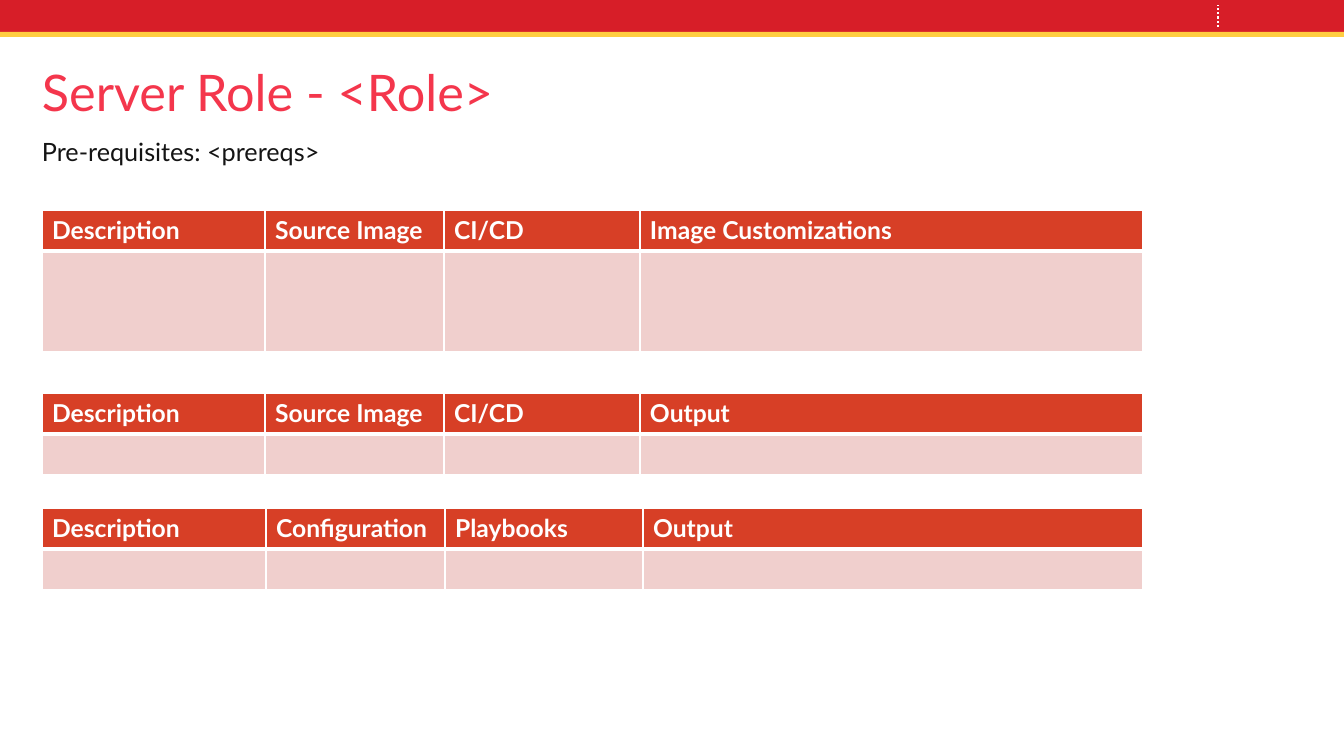
"""Builds the server role slide with its three template tables."""
from lxml import etree
from pptx import Presentation
from pptx.dml.color import RGBColor
from pptx.enum.dml import MSO_LINE
from pptx.enum.shapes import MSO_CONNECTOR, MSO_SHAPE
from pptx.enum.text import MSO_ANCHOR, MSO_AUTO_SIZE, PP_ALIGN
from pptx.oxml.ns import qn
from pptx.util import Pt

RECTANGLE = MSO_SHAPE.RECTANGLE
STRAIGHT = MSO_CONNECTOR.STRAIGHT
DOTTED = MSO_LINE.ROUND_DOT
TOP = MSO_ANCHOR.TOP
LEFT = PP_ALIGN.LEFT
NO_AUTOFIT = MSO_AUTO_SIZE.NONE

FONT = "Lato"
COLORS = {
    "banner": "D71E28", "stripe": "FFCD41", "title": "F4364C", "ink": "141414",
    "white": "FFFFFF", "header": "D73F26", "body": "F0CFCD",
}
TITLE = "Server Role - <Role>"
PREREQUISITES = "Pre-requisites: <prereqs>"
BANDS = [("banner", 0, 32), ("stripe", 32, 5)]
TABLES = [
    {"top": 210, "body": 101, "columns": [
        ("Description", 223), ("Source Image", 179), ("CI/CD", 196), ("Image Customizations", 503)]},
    {"top": 393, "body": 41, "columns": [
        ("Description", 223), ("Source Image", 179), ("CI/CD", 196), ("Output", 503)]},
    {"top": 508, "body": 41, "columns": [
        ("Description", 224), ("Configuration", 179), ("Playbooks", 198), ("Output", 500)]},
]
WIDTH, HEIGHT = 1344, 756
MARGIN = 42
HEADER_HEIGHT = 41
DIVIDER_X = 1218
THIN, THICK = 1, 3
EMU_PER_PX = 914400 / 100.8


def px(*lengths):
    return [round(length * EMU_PER_PX) for length in lengths]


def color(name):
    return RGBColor.from_string(COLORS[name])


def write(frame, text, size, ink, bold=False, inset=None):
    frame.word_wrap = True
    frame.vertical_anchor = TOP
    if inset is not None:
        frame.auto_size = NO_AUTOFIT
        frame.margin_left = frame.margin_right = inset
        frame.margin_top = frame.margin_bottom = inset
    paragraph = frame.paragraphs[0]
    paragraph.alignment = LEFT
    run = paragraph.add_run()
    run.text = text
    run.font.name = FONT
    run.font.size = Pt(size)
    run.font.bold = bold
    run.font.color.rgb = color(ink)


def style_cell(cell, fill, above, below):
    properties = cell._tc.get_or_add_tcPr()
    for edge, width in (("lnL", THIN), ("lnR", THIN), ("lnT", above), ("lnB", below)):
        border = etree.SubElement(properties, qn(f"a:{edge}"), w=str(Pt(width)))
        solid = etree.SubElement(border, qn("a:solidFill"))
        etree.SubElement(solid, qn("a:srgbClr"), val=COLORS["white"])
    cell.fill.solid()
    cell.fill.fore_color.rgb = color(fill)


def add_role_table(slide, top, body, columns):
    width = sum(column_width for _, column_width in columns)
    table = slide.shapes.add_table(
        2, len(columns), *px(MARGIN, top, width, HEADER_HEIGHT + body)).table
    table.rows[0].height, table.rows[1].height = px(HEADER_HEIGHT, body)
    for index, (heading, column_width) in enumerate(columns):
        table.columns[index].width = px(column_width)[0]
        style_cell(table.cell(0, index), "header", THIN, THICK)
        style_cell(table.cell(1, index), "body", THICK, THIN)
        write(table.cell(0, index).text_frame, heading, 17.6, "white", bold=True)


def add_banner(slide):
    for name, top, height in BANDS:
        band = slide.shapes.add_shape(RECTANGLE, *px(0, top, WIDTH, height))
        band.shadow.inherit = False
        band.fill.solid()
        band.fill.fore_color.rgb = color(name)
        band.line.fill.background()
    divider = slide.shapes.add_connector(STRAIGHT, *px(DIVIDER_X, 27, DIVIDER_X, 5))
    divider.line.color.rgb = color("white")
    divider.line.width = Pt(1.5)
    divider.line.dash_style = DOTTED
    etree.SubElement(divider._element.spPr, qn("a:effectLst"))


def main():
    deck = Presentation()
    deck.slide_width, deck.slide_height = px(WIDTH, HEIGHT)
    slide = deck.slides.add_slide(deck.slide_layouts[5])
    add_banner(slide)
    title = slide.shapes.title
    title.left, title.top, title.width, title.height = px(MARGIN, 61, 1285, 59)
    write(title.text_frame, TITLE, 36, "title", inset=0)
    for role_table in TABLES:
        add_role_table(slide, **role_table)
    prerequisites = slide.shapes.add_textbox(*px(MARGIN, 136, 527, 33))
    write(prerequisites.text_frame, PREREQUISITES, 18, "ink", inset=0)
    deck.save("out.pptx")


if __name__ == "__main__":
    main()
